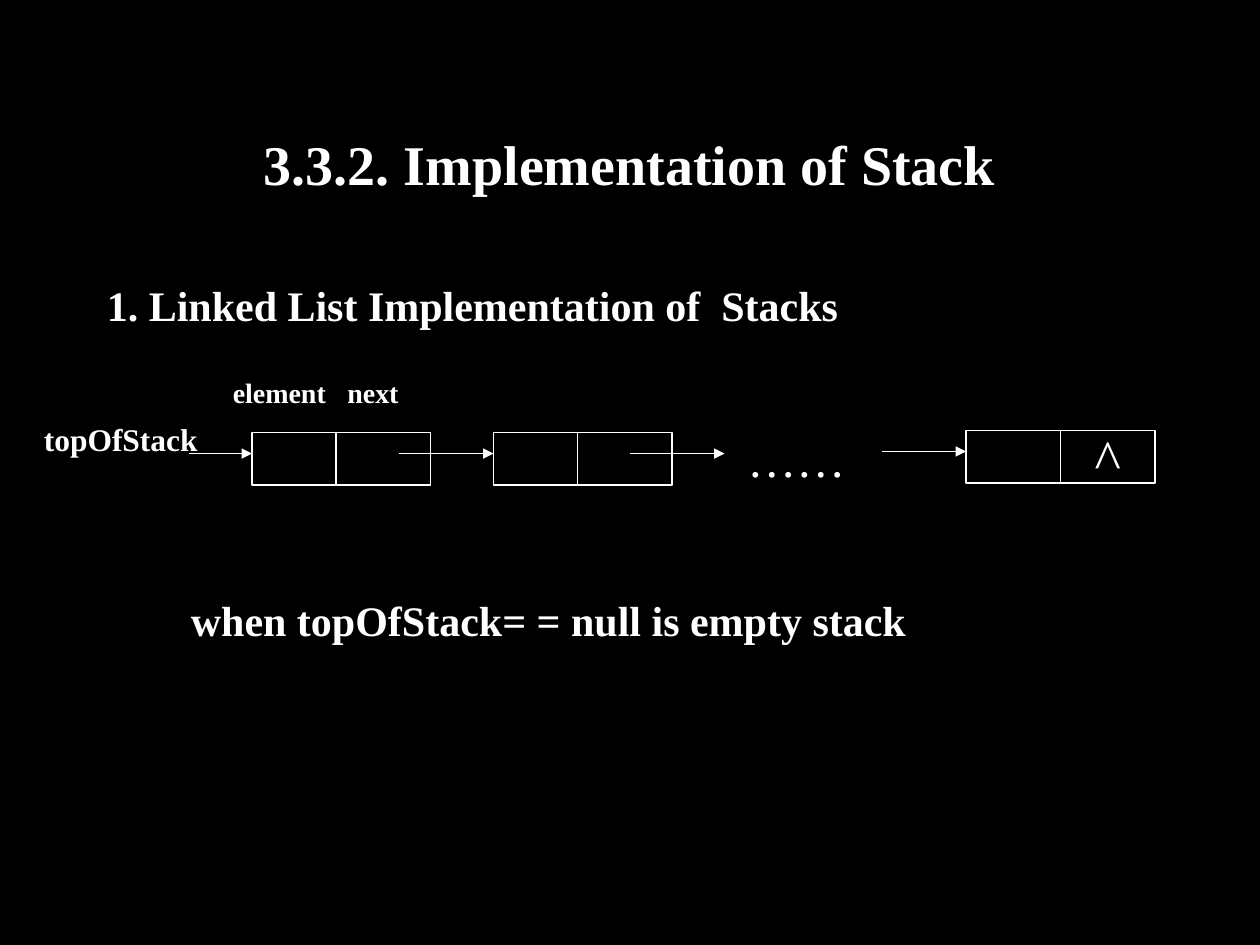
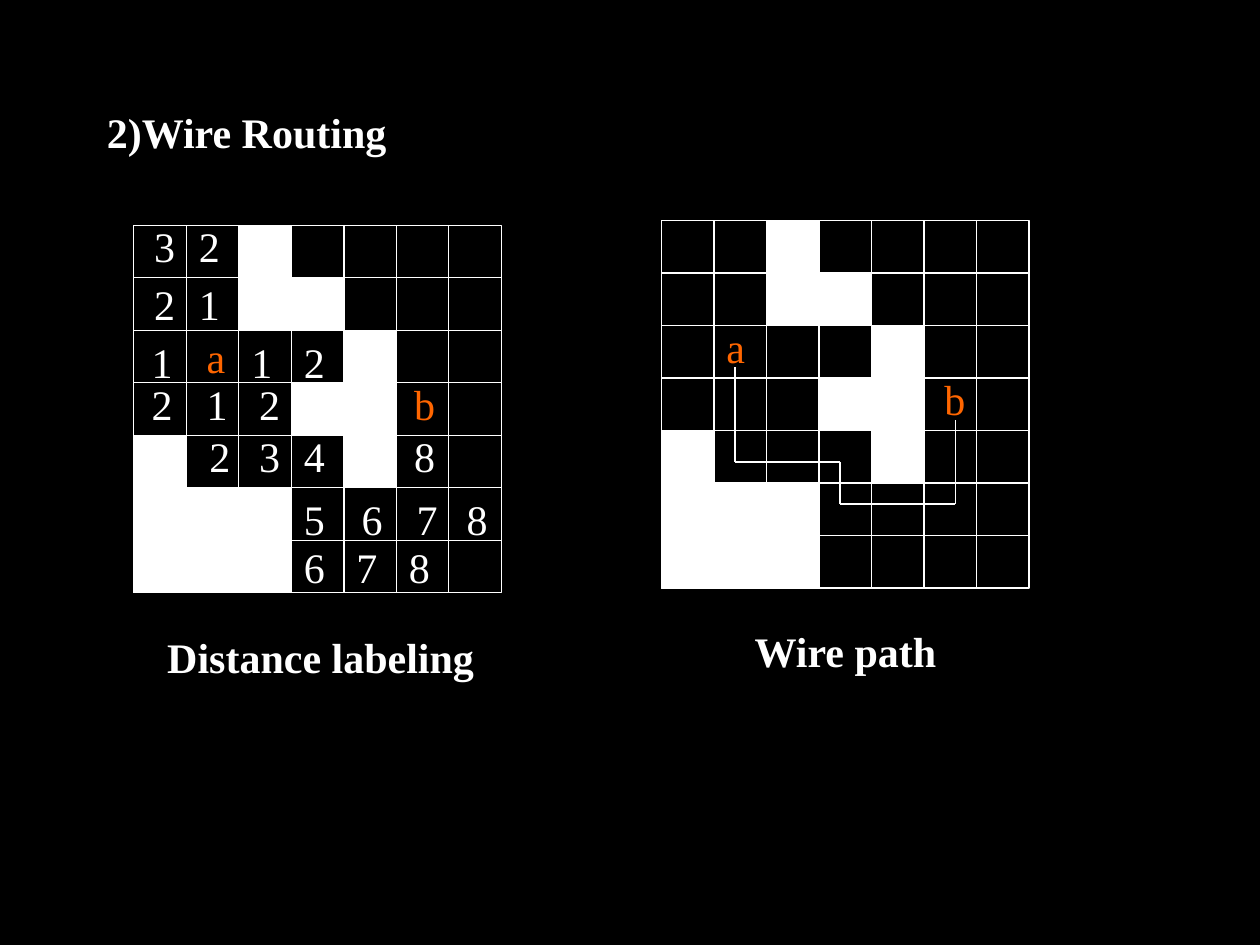
import itertools

import pptx
import pptx.dml.color
import pptx.enum.shapes
import pptx.enum.text
import pptx.oxml
import pptx.oxml.ns
import pptx.util

BLACK = pptx.dml.color.RGBColor(0x00, 0x00, 0x00)
WHITE = pptx.dml.color.RGBColor(0xFF, 0xFF, 0xFF)
ORANGE = pptx.dml.color.RGBColor(0xFF, 0x66, 0x00)
FONT = "Times New Roman"
COLS, ROWS = 24, 18
WIDTH = pptx.util.Inches(10)
UNIT = WIDTH / COLS
SIDE = 7

HEADS = [
    ("3.3.2. Implementation of Stack", 1.6, 3, 32, "CENTER"),
    ("2)Wire Routing", 1.6, 1.8, 24, "LEFT"),
]
NOTES = [
    ("1. Linked List Implementation of  Stacks", 1.8, 5.2, 20.4, 24, True),
    ("topOfStack", 0.6, 7.88, 3.6, 18, True),
    ("element", 4.2, 7.04, 2.4, 16, True),
    ("next", 6.38, 7.04, 1.8, 16, True),
    ("……", 14, 8.04, 3.2, 28, False),
    ("when topOfStack= = null is empty stack", 3.4, 11.2, 16.6, 24, True),
]
NODES = [(4.8, 8.24, 3.4, 1.6), (9.4, 8.24, 3.4, 1.6), (18.4, 8.2, 3.6, 1.8)]
ARROWS = [(3.6, 4.8, 8.64), (7.6, 9.4, 8.64), (12, 13.8, 8.64), (16.8, 18.4, 8.6)]

WALLS = [(2, 0, 1, 2), (3, 1, 1, 1), (4, 2, 1, 3), (3, 3, 1, 1),
         (0, 4, 1, 3), (1, 5, 2, 2)]
WIRE = [(1.4, 2.8), (1.4, 4.6), (3.4, 4.6), (3.4, 5.4), (5.6, 5.4), (5.6, 3.8)]
MAPS = [
    {"at": (2.55, 4.29), "name": ("Distance labeling", 2.95, 11.91), "wire": [],
     "marks": [
         (-0.2, [("3", 0.15), ("2", 1)]),
         (0.9, [("2", 0.15), ("1", 1)]),
         (1.9, [("a", 1.15)]),
         (2, [("1", 0.1), ("1", 2), ("2", 3)]),
         (2.8, [("2", 0.1), ("1", 1.15), ("2", 2.15), ("b", 5.1)]),
         (3.8, [("2", 1.2), ("3", 2.15), ("4", 3), ("8", 5.1)]),
         (5, [("5", 3), ("6", 4.1), ("7", 5.15), ("8", 6.1)]),
         (5.9, [("6", 3), ("7", 4), ("8", 5)]),
     ]},
    {"at": (12.6, 4.2), "name": ("Wire path", 14.14, 11.8), "wire": WIRE,
     "marks": [(1.8, [("a", 1)]), (2.8, [("b", 5.15)])]},
]


def units(*nums):
    return [round(num * UNIT) for num in nums]


def text(slide, words, x, y, w, h=1.2, size=24, bold=False, color=WHITE,
         align="LEFT", anchor="TOP"):
    frame = slide.shapes.add_textbox(*units(x, y, w, h)).text_frame
    frame.word_wrap = True
    frame.vertical_anchor = pptx.enum.text.MSO_ANCHOR[anchor]
    frame.text = words
    para = frame.paragraphs[0]
    para.alignment = pptx.enum.text.PP_ALIGN[align]
    font = para.runs[0].font
    font.name, font.size, font.bold = FONT, pptx.util.Pt(size), bold
    font.color.rgb = color


def stroke(line):
    line.color.rgb = WHITE
    line.width = pptx.util.Pt(0.75)


def box(slide, x, y, w, h, full=False):
    rect = slide.shapes.add_shape(
        pptx.enum.shapes.MSO_SHAPE.RECTANGLE, *units(x, y, w, h))
    rect.shadow.inherit = False
    if full:
        rect.fill.solid()
        rect.fill.fore_color.rgb = WHITE
    else:
        rect.fill.background()
    stroke(rect.line)


def rule(slide, x, y, right, low, arrow=False):
    link = slide.shapes.add_connector(
        pptx.enum.shapes.MSO_CONNECTOR.STRAIGHT, *units(x, y, right, low))
    stroke(link.line)
    props = link._element.spPr
    if arrow:
        tip = pptx.oxml.parse_xml(
            '<a:tailEnd %s type="triangle"/>' % pptx.oxml.ns.nsdecls("a"))
        link.line._get_or_add_ln().append(tip)
    props.append(pptx.oxml.parse_xml(
        "<a:effectLst %s/>" % pptx.oxml.ns.nsdecls("a")))


def start(deck, head):
    slide = deck.slides.add_slide(deck.slide_layouts[6])
    slide.background.fill.solid()
    slide.background.fill.fore_color.rgb = BLACK
    words, y, h, size, align = head
    text(slide, words, 1.8, y, 20.4, h, size, True, align=align, anchor="MIDDLE")
    return slide


def stack(slide):
    for x, y, w, cut in NODES:
        box(slide, x, y, w, 1)
        rule(slide, x + cut, y, x + cut, y + 1)
    text(slide, "^", x + cut, y, w - cut, 1, 32, align="CENTER", anchor="MIDDLE")
    for x, right, y in ARROWS:
        rule(slide, x, y, right, y, True)
    for words, x, y, w, size, bold in NOTES:
        text(slide, words, x, y, w, size=size, bold=bold)


def maze(slide, plan):
    left, top = plan["at"]
    box(slide, left, top, SIDE, SIDE)
    for step in range(1, SIDE):
        rule(slide, left, top + step, left + SIDE, top + step)
        rule(slide, left + step, top, left + step, top + SIDE)
    for col, row, w, h in WALLS:
        box(slide, left + col, top + row, w, h, True)
    for row, marks in plan["marks"]:
        for mark, col in marks:
            color = ORANGE if mark in "ab" else WHITE
            text(slide, mark, left + col, top + row, 0.9, color=color)
    for (x, y), (right, low) in itertools.pairwise(plan["wire"]):
        rule(slide, left + x, top + y, left + right, top + low)
    words, x, y = plan["name"]
    text(slide, words, x, y, SIDE, bold=True)


def main():
    deck = pptx.Presentation()
    deck.slide_width, deck.slide_height = units(COLS, ROWS)
    stack(start(deck, HEADS[0]))
    slide = start(deck, HEADS[1])
    for plan in MAPS:
        maze(slide, plan)
    deck.save("out.pptx")


if __name__ == "__main__":
    main()
